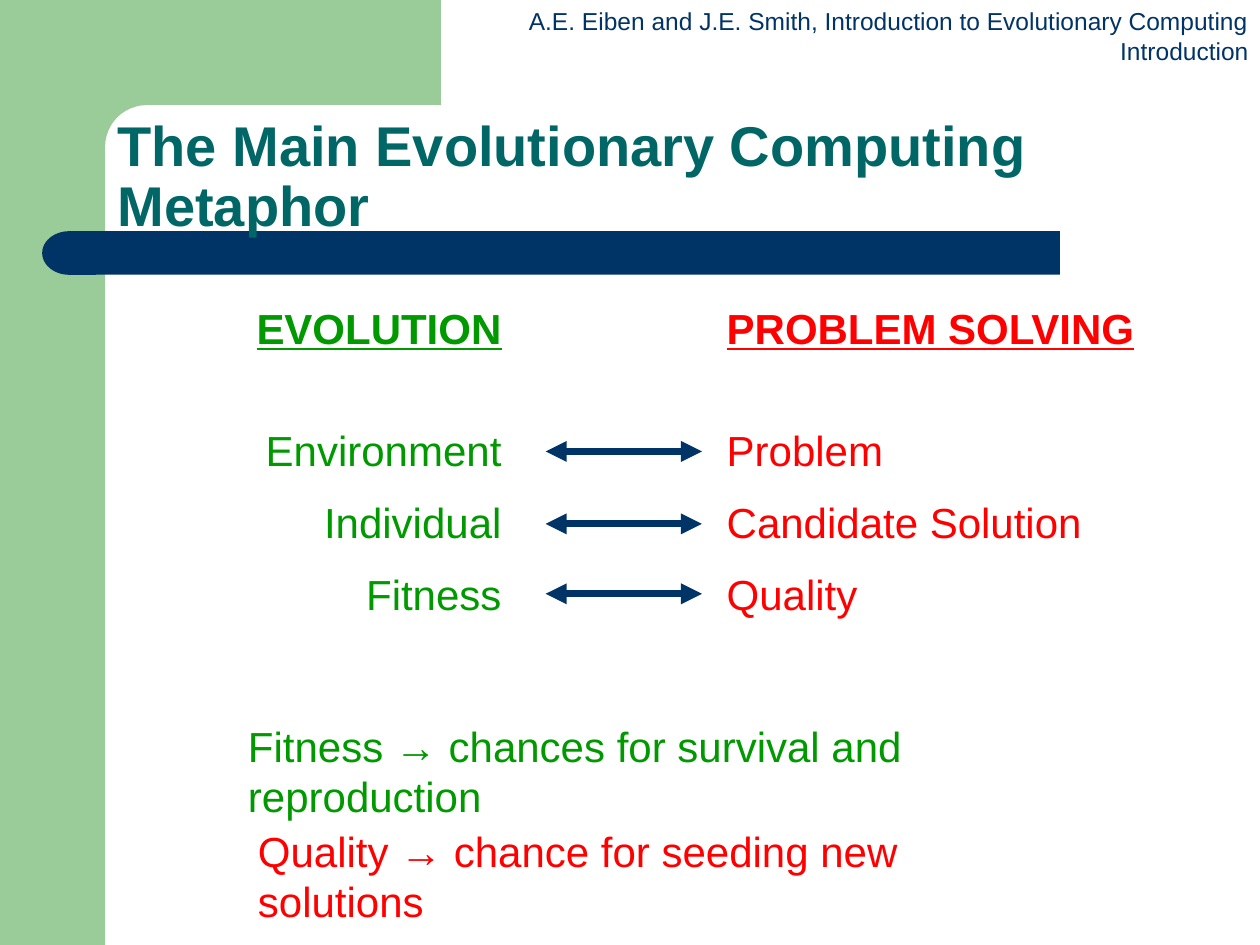
import lxml.etree
import pptx
import pptx.dml.color
import pptx.enum.shapes
import pptx.enum.text
import pptx.oxml.ns
import pptx.util

Cm = pptx.util.Cm
Pt = pptx.util.Pt
KIND = pptx.enum.shapes.MSO_SHAPE
ALIGN = pptx.enum.text.PP_ALIGN
ANCHOR = pptx.enum.text.MSO_ANCHOR

COLORS = {
    "sage": "99CC99",
    "white": "FFFFFF",
    "navy": "003366",
    "teal": "006666",
    "green": "009900",
    "red": "FF0000",
}


class Deck:
    """Holds the style and the current slide; lengths are in centimetres."""

    def __init__(self, face):
        self.face = face
        self.show = pptx.Presentation()
        self.show.slide_width = Cm(25.4)
        self.show.slide_height = Cm(19.05)
        self.slide = self.show.slides.add_slide(self.show.slide_layouts[6])

    def color(self, name):
        return pptx.dml.color.RGBColor.from_string(COLORS[name])

    def shape(self, kind, box, color):
        item = self.slide.shapes.add_shape(kind, *map(Cm, box))
        item.shadow.inherit = False
        item.fill.solid()
        item.fill.fore_color.rgb = self.color(color)
        item.line.fill.background()
        return item

    def text(self, box, lines, size, color, align=ALIGN.LEFT, bold=False,
             anchor=ANCHOR.TOP):
        """Add a wrapped text box and return its paragraphs."""
        frame = self.slide.shapes.add_textbox(*map(Cm, box)).text_frame
        frame.word_wrap = True
        frame.vertical_anchor = anchor
        frame.text = "\n".join(lines)
        for para in frame.paragraphs:
            para.alignment = align
            para.font.name = self.face
            para.font.size = Pt(size)
            para.font.bold = bold
            para.font.color.rgb = self.color(color)
        return frame.paragraphs

    def column(self, box, head, items, color, align):
        """Add an underlined heading with spaced terms below it."""
        title, *terms = self.text(box, [head, *items], 24, color, align)
        title.font.bold = True
        title.font.underline = True
        for term in terms:
            term.line_spacing = Pt(29)
            term.space_before = Pt(6)
            term.space_after = Pt(6)
        terms[0].space_before = Pt(41)

    def arrow(self, left, right, y, color):
        """Add a level line with a head at both ends."""
        item = self.slide.shapes.add_connector(
            pptx.enum.shapes.MSO_CONNECTOR.STRAIGHT,
            Cm(left), Cm(y), Cm(right), Cm(y))
        item.line.width = Pt(4)
        item.line.color.rgb = self.color(color)
        qn = pptx.oxml.ns.qn
        props = item._element.spPr
        for end in ("a:headEnd", "a:tailEnd"):
            lxml.etree.SubElement(props.find(qn("a:ln")), qn(end), type="triangle")
        lxml.etree.SubElement(props, qn("a:effectLst"))


def main():
    deck = Deck("Arial")

    deck.shape(KIND.RECTANGLE, (0, 0, 2.12, 19.05), "sage")
    deck.shape(KIND.RECTANGLE, (1.9, 0, 6.99, 2.96), "sage")
    panel = deck.shape(KIND.ROUNDED_RECTANGLE, (2.12, 2.12, 14.18, 1.69), "white")
    panel.adjustments[0] = 0.5
    deck.shape(KIND.RECTANGLE, (1.9, 4.66, 19.47, 0.88), "navy")
    cap = deck.shape(KIND.FLOWCHART_DELAY, (0.85, 4.66, 1.09, 0.88), "navy")
    cap.rotation = 180

    deck.text((10.1, 0, 15.32, 1.45),
              ["A.E. Eiben and J.E. Smith, Introduction to Evolutionary Computing",
               "Introduction"], 14, "navy", ALIGN.RIGHT)
    title, = deck.text((2.12, 2.54, 22.01, 2.12),
                       ["The Main Evolutionary Computing Metaphor"],
                       32, "teal", bold=True, anchor=ANCHOR.MIDDLE)
    title.line_spacing = 0.9

    deck.column((3.63, 5.97, 6.73, 8.15), "EVOLUTION",
                ["Environment", "Individual", "Fitness"], "green", ALIGN.RIGHT)
    deck.column((14.4, 5.97, 8.89, 8.1), "PROBLEM SOLVING",
                ["Problem", "Candidate Solution", "Quality"], "red", ALIGN.LEFT)
    for y in (9.1, 10.56, 11.97):
        deck.arrow(11, 14.15, y, "navy")

    deck.text((4.95, 16.51, 16.81, 1.27),
              ["Quality → chance for seeding new solutions"], 24, "red")
    deck.text((4.75, 14.4, 18.47, 1.27),
              ["Fitness → chances for survival and reproduction"], 24, "green")

    deck.show.save("out.pptx")


if __name__ == "__main__":
    main()
